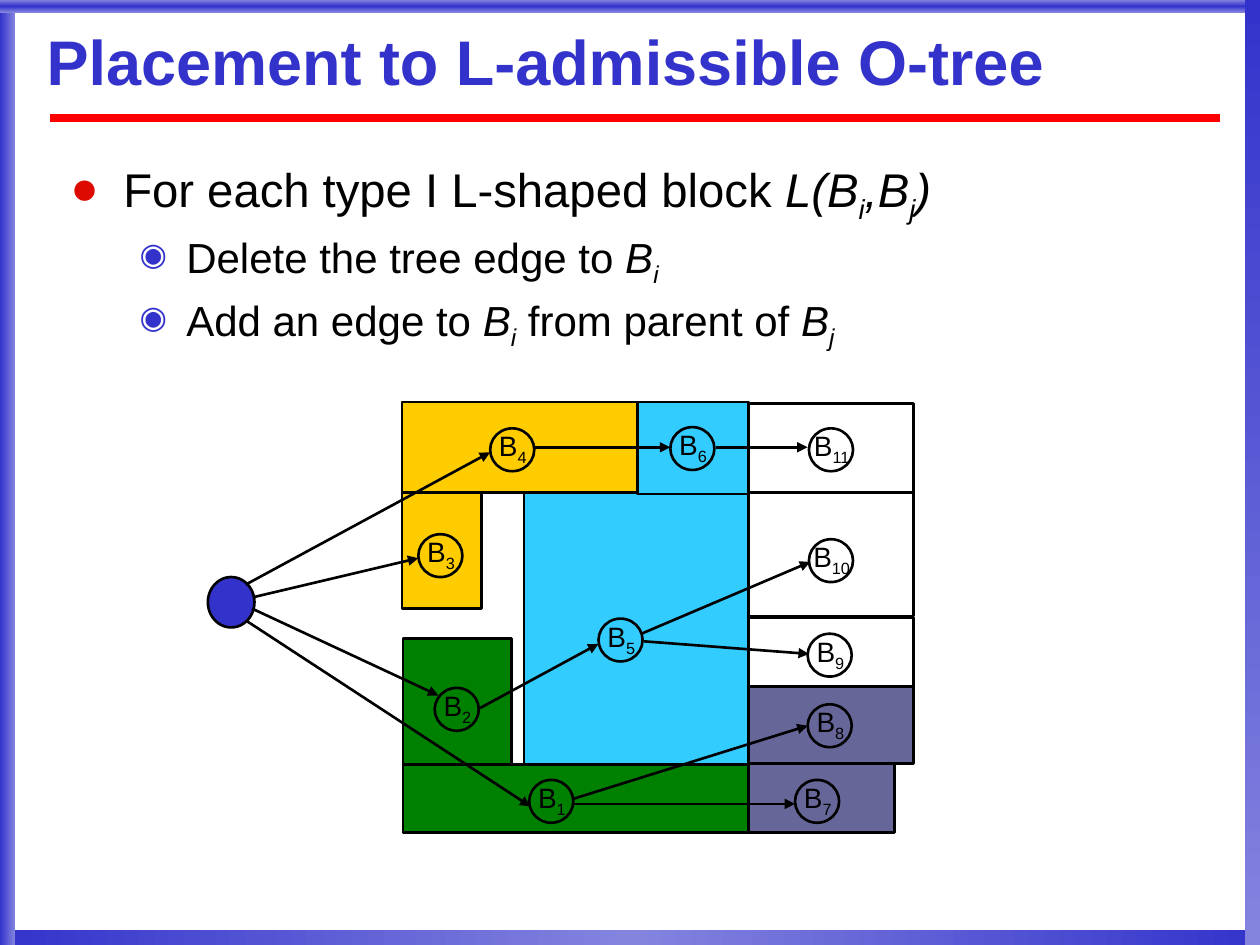
from lxml.etree import SubElement
from pptx import Presentation
from pptx.dml.color import RGBColor
from pptx.enum.shapes import MSO_CONNECTOR, MSO_SHAPE
from pptx.enum.text import MSO_ANCHOR, MSO_AUTO_SIZE, PP_ALIGN
from pptx.oxml import parse_xml
from pptx.oxml.ns import nsdecls, qn
from pptx.util import Inches, Pt

COLORS = {
    "blue": "3333CC", "pale": "8484DF", "red": "FF0000", "bullet": "DC0A00",
    "black": "000000", "shadow": "C0C0C0", "gold": "FFCC00",
    "green": "008000", "cyan": "33CCFF", "slate": "666699",
}

deck = Presentation()
deck.slide_width, deck.slide_height = Inches(10), Inches(7.5)
COL, ROW = deck.slide_width / 100, deck.slide_height / 75
slide = deck.slides.add_slide(deck.slide_layouts[5])


def write(paragraph, text, size=16, color="black", bold=False, italic=False, sub=False):
    run = paragraph.add_run()
    run.text = text
    run.font.name = "Arial"
    run.font.size = Pt(size)
    run.font.bold = bold
    run.font.italic = italic
    run.font.color.rgb = RGBColor.from_string(COLORS[color])
    if sub:
        run.font._element.set("baseline", "-25000")
    return run


def draw(parent, preset, box, fill=None, outline=True):
    left, top, width, height = box
    shape = parent.add_shape(preset, round(left * COL), round(top * ROW),
                             round(width * COL), round(height * ROW))
    shape.shadow.inherit = False
    if fill:
        shape.fill.solid()
        shape.fill.fore_color.rgb = RGBColor.from_string(COLORS[fill])
    else:
        shape.fill.background()
    if outline:
        shape.line.color.rgb = RGBColor.from_string(COLORS["black"])
        shape.line.width = Pt(1.5)
    else:
        shape.line.fill.background()
    return shape


borders = [
    ((0, 73.8, 100, 1.2), ["blue", "pale", "blue"], 180),
    ((0, 0, 1.2, 75), ["pale", "blue"], 180),
    ((0, 0, 100, 1), ["pale", "blue", "pale"], 90),
    ((98.8, 0, 1.2, 75), ["blue", "pale"], 90),
]
for box, shades, angle in borders:
    border = draw(slide.shapes, MSO_SHAPE.RECTANGLE, box, outline=False)
    stops = "".join(
        f'<a:gs pos="{i * 100000 // (len(shades) - 1)}"><a:srgbClr val="{COLORS[shade]}"/></a:gs>'
        for i, shade in enumerate(shades))
    plain = border._element.spPr.find(qn("a:noFill"))
    border._element.spPr.replace(plain, parse_xml(
        f'<a:gradFill {nsdecls("a")} rotWithShape="1"><a:gsLst>{stops}</a:gsLst>'
        f'<a:lin ang="{angle * 60000}" scaled="0"/></a:gradFill>'))

title = slide.shapes.title
title.left, title.top = round(3.7 * COL), round(1.5 * ROW)
title.width, title.height = round(93 * COL), round(7.4 * ROW)
heading = title.text_frame
heading.margin_left = heading.margin_right = heading.margin_top = heading.margin_bottom = 0
heading.vertical_anchor = MSO_ANCHOR.MIDDLE
heading.auto_size = MSO_AUTO_SIZE.NONE
heading.word_wrap = True
heading.paragraphs[0].alignment = PP_ALIGN.LEFT
heading.paragraphs[0].line_spacing = 0.87
title_run = write(heading.paragraphs[0], "Placement to L-admissible O-tree",
                  size=36, color="blue", bold=True)
title_run.font._element.find(qn("a:solidFill")).addnext(parse_xml(
    f'<a:effectLst {nsdecls("a")}><a:outerShdw dist="28400" dir="2700000">'
    f'<a:srgbClr val="{COLORS["shadow"]}"/></a:outerShdw></a:effectLst>'))

body = slide.shapes.add_textbox(round(4.6 * COL), round(12.2 * ROW),
                                round(90.8 * COL), round(58.1 * ROW)).text_frame
body.word_wrap = True
plain, italic, sub = {}, {"italic": True}, {"italic": True, "sub": True}
points = [
    (0, [("For each type I L-shaped block ", plain), ("L(B", italic), ("i", sub),
         (",B", italic), ("j", sub), (")", italic)]),
    (1, [("Delete the tree edge to ", plain), ("B", italic), ("i", sub)]),
    (1, [("Add an edge to ", plain), ("B", italic), ("i", sub),
         (" from parent of ", plain), ("B", italic), ("j", sub)]),
]
levels = [
    dict(size=27, spacing=0.93, before=16.9, margin=4.2, hang=4.2,
         mark="●", mark_color="bullet", mark_size=100),
    dict(size=24, spacing=0.87, before=7.5, margin=9.2, hang=3.7,
         mark="◉", mark_color="blue", mark_size=75),
]
for number, (depth, pieces) in enumerate(points):
    style = levels[depth]
    point = body.add_paragraph() if number else body.paragraphs[0]
    point.level = depth
    point.line_spacing = style["spacing"]
    point.space_before = Pt(style["before"])
    properties = point._p.get_or_add_pPr()
    properties.set("marL", str(round(style["margin"] * COL)))
    properties.set("indent", str(-round(style["hang"] * COL)))
    mark_color = SubElement(properties, qn("a:buClr"))
    SubElement(mark_color, qn("a:srgbClr"), val=COLORS[style["mark_color"]])
    SubElement(properties, qn("a:buSzPct"), val=str(style["mark_size"] * 1000))
    SubElement(properties, qn("a:buFont"), typeface="Arial")
    SubElement(properties, qn("a:buChar"), char=style["mark"])
    for text, look in pieces:
        write(point, text, size=style["size"], **look)

blocks = [
    ((59.4, 49, 13.1, 5.6), None),
    ((59.3, 54.5, 13.2, 6.1), "slate"),
    ((31.9, 31.9, 18.7, 7.2), "gold"),
    ((31.9, 39.1, 6.3, 9.2), "gold"),
    ((32, 50.7, 8.6, 10), "green"),
    ((32, 60.7, 27.4, 5.4), "green"),
    ((41.6, 39.1, 17.8, 21.6), "cyan"),
    ((50.6, 31.9, 8.8, 7.3), "cyan"),
    ((59.4, 39.1, 13.1, 9.8), None),
    ((59.4, 32, 13.1, 7.1), None),
    ((59.4, 60.6, 11.6, 5.5), "slate"),
]
for box, fill in blocks:
    draw(slide.shapes, MSO_SHAPE.RECTANGLE, box, fill)
draw(slide.shapes, MSO_SHAPE.OVAL, (16.5, 45.8, 3.7, 4), "blue")

nodes = {
    8: (64.1, 55.9), 2: (34.5, 54.6), 3: (33.2, 42.4), 7: (63.1, 61.9),
    6: (53.2, 33.9), 5: (47.5, 49.1), 4: (38.9, 34), 1: (42, 61.9),
    9: (64.1, 50.3), 10: (64.2, 42.8), 11: (64.2, 34),
}
for index, (left, top) in nodes.items():
    node = slide.shapes.add_group_shape().shapes
    label_width = 4.9 if index > 9 else 4.2
    label = node.add_textbox(round((left + 1.8 - label_width / 2) * COL), round((top - 0.5) * ROW),
                             round(label_width * COL), round(4.1 * ROW)).text_frame
    label.word_wrap = False
    label.auto_size = MSO_AUTO_SIZE.SHAPE_TO_FIT_TEXT
    label.vertical_anchor = MSO_ANCHOR.MIDDLE
    name = label.paragraphs[0]
    name.alignment = PP_ALIGN.CENTER
    name.space_before = Pt(10)
    write(name, "B")
    write(name, str(index), sub=True)
    draw(node, MSO_SHAPE.OVAL, (left, top, 3.5, 3.4))

tree_edges = [
    (19.5, 46.4, 38.9, 35.9), (20, 48.3, 34.8, 55.2), (19.6, 49.3, 42.1, 64),
    (42.3, 35.5, 53.2, 35.5), (38.1, 56.2, 47.5, 51.1), (45.5, 63.4, 64.1, 57.6),
    (45.5, 63.8, 63.1, 63.8), (56.8, 35.5, 64.1, 35.5), (20.1, 47.4, 33.2, 44.3),
    (50.9, 50.3, 64.3, 44.6), (51.1, 50.9, 64.2, 51.9),
]
title_rule = (4, 9.4, 96.8, 9.4)
for x1, y1, x2, y2 in [title_rule] + tree_edges:
    is_rule = (x1, y1, x2, y2) == title_rule
    edge = slide.shapes.add_connector(MSO_CONNECTOR.STRAIGHT, round(x1 * COL), round(y1 * ROW),
                                      round(x2 * COL), round(y2 * ROW))
    edge.line.color.rgb = RGBColor.from_string(COLORS["red" if is_rule else "black"])
    edge.line.width = Pt(4.5 if is_rule else 1.5)
    if not is_rule:
        SubElement(edge.line._get_or_add_ln(), qn("a:tailEnd"), type="triangle")
    SubElement(edge._element.spPr, qn("a:effectLst"))

deck.save("out.pptx")
